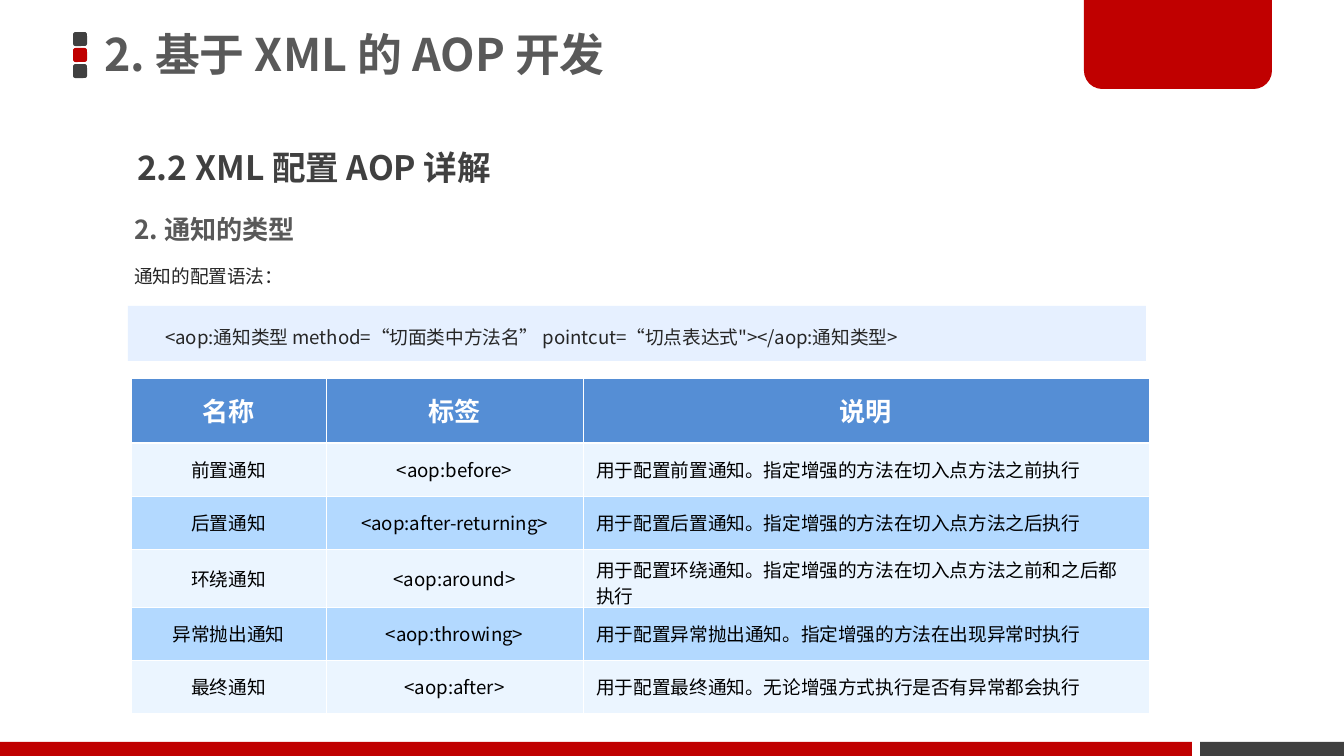
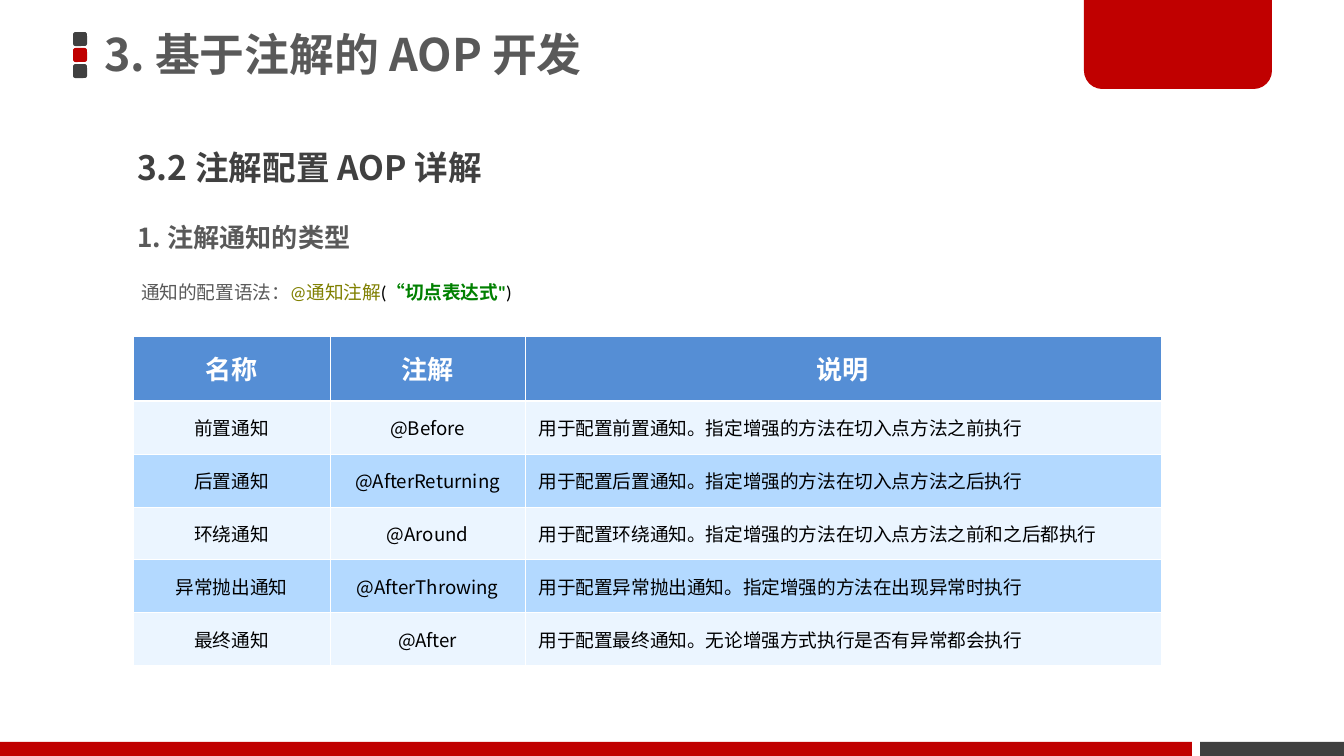
from dataclasses import dataclass

from lxml import etree
from pptx import Presentation
from pptx.dml.color import RGBColor
from pptx.enum.shapes import MSO_SHAPE
from pptx.enum.text import MSO_ANCHOR, MSO_AUTO_SIZE, PP_ALIGN
from pptx.oxml.ns import qn
from pptx.util import Emu, Pt

RECT = MSO_SHAPE.RECTANGLE
ROUND = MSO_SHAPE.ROUNDED_RECTANGLE
TAB = MSO_SHAPE.ROUND_2_SAME_RECTANGLE
LEFT, CENTER = PP_ALIGN.LEFT, PP_ALIGN.CENTER
TOP, MIDDLE = MSO_ANCHOR.TOP, MSO_ANCHOR.MIDDLE
NO_FIT = MSO_AUTO_SIZE.NONE

PX = 914400 / 134.4
SANS, CALIBRI = "Noto Sans CJK SC", "Calibri"
RED, DARK, GRAY, INK = "C00000", "404040", "595959", "262626"
BLACK, WHITE, OLIVE, GREEN = "000000", "FFFFFF", "808000", "008000"
CODE_BAND, HEADER_BLUE = "E6F0FF", "558ED5"
ROW_FILLS = ("EBF5FF", "B3D9FF")
THIN, THICK = 0.45, 1.47
TITLE_ONLY = 5


@dataclass(frozen=True)
class Box:
    x: int
    y: int
    w: int
    h: int


@dataclass(frozen=True)
class Run:
    text: str
    size: int
    color: str
    bold: bool = False
    font: str = SANS


@dataclass(frozen=True)
class Block:
    box: Box
    runs: tuple[Run, ...]


@dataclass(frozen=True)
class Grid:
    x: int
    y: int
    cols: tuple[int, ...]
    rows: tuple[int, ...]
    key: str
    tags: tuple[str, ...]


@dataclass(frozen=True)
class Page:
    title: str
    section: str
    blocks: tuple[Block, ...]
    grid: Grid
    band: Box | None = None


@dataclass(frozen=True)
class Decor:
    kind: int
    box: Box
    color: str
    adj: tuple[float, ...] = ()


TITLE_BOX = Box(93, -3, 792, 120)
SECTION_BOX = Box(124, 120, 516, 74)
DECOR = (
    *(Decor(ROUND, Box(73, 32 + 16 * i, 14, 14), color, (0.17,))
      for i, color in enumerate((DARK, RED, DARK))),
    Decor(RECT, Box(1200, 742, 144, 14), DARK),
    Decor(TAB, Box(1084, -3, 188, 92), RED, (0, 0.2)),
    Decor(RECT, Box(0, 742, 1192, 14), RED),
)
NOTICES = (
    ("前置通知", "用于配置前置通知。指定增强的方法在切入点方法之前执行"),
    ("后置通知", "用于配置后置通知。指定增强的方法在切入点方法之后执行"),
    ("环绕通知", "用于配置环绕通知。指定增强的方法在切入点方法之前和之后都执行"),
    ("异常抛出通知", "用于配置异常抛出通知。指定增强的方法在出现异常时执行"),
    ("最终通知", "用于配置最终通知。无论增强方式执行是否有异常都会执行"),
)
PAGES = (
    Page(
        "2. 基于 XML 的 AOP 开发",
        "2.2 XML 配置 AOP 详解",
        (
            Block(Box(121, 191, 1038, 60), (Run("2. 通知的类型", 14, GRAY, True),)),
            Block(Box(121, 247, 1038, 47), (Run("通知的配置语法：", 10, INK),)),
            Block(Box(152, 308, 970, 47), (
                Run('<aop:通知类型 method=“切面类中方法名” pointcut=“切点表达式"></aop:通知类型>', 10, INK),
            )),
        ),
        Grid(131, 378, (195, 257, 566), (65, 53, 53, 58, 53, 53), "标签",
             ("<aop:before>", "<aop:after-returning>", "<aop:around>",
              "<aop:throwing>", "<aop:after>")),
        Box(128, 306, 1018, 55),
    ),
    Page(
        "3. 基于注解的 AOP 开发",
        "3.2 注解配置 AOP 详解",
        (
            Block(Box(124, 199, 1038, 60), (Run("1. 注解通知的类型", 14, GRAY, True),)),
            Block(Box(128, 263, 1030, 47), (
                Run("通知的配置语法：", 10, GRAY),
                Run("@通知注解", 10, OLIVE, font=CALIBRI),
                Run("(", 10, BLACK, font=CALIBRI),
                Run('“切点表达式"', 10, GREEN, True, CALIBRI),
                Run(")", 10, BLACK, font=CALIBRI),
            )),
        ),
        Grid(133, 336, (197, 195, 636), (65, 53, 53, 53, 53, 53), "注解",
             ("@Before", "@AfterReturning", "@Around", "@AfterThrowing", "@After")),
    ),
)


def px(n: int) -> Emu:
    return Emu(round(n * PX))


def rgb(color: str) -> RGBColor:
    return RGBColor.from_string(color)


def place(box: Box) -> tuple[Emu, ...]:
    return px(box.x), px(box.y), px(box.w), px(box.h)


def add_run(p, run: Run) -> None:
    r = p.add_run()
    r.text = run.text
    r.font.size = Pt(run.size)
    r.font.bold = run.bold
    r.font.name = run.font
    r.font.color.rgb = rgb(run.color)
    ea = etree.Element(qn("a:ea"), typeface=SANS)
    r.font._element.find(qn("a:latin")).addnext(ea)


def add_decor(slide, decor: Decor) -> None:
    sp = slide.shapes.add_shape(decor.kind, *place(decor.box))
    sp.shadow.inherit = False
    sp.fill.solid()
    sp.fill.fore_color.rgb = rgb(decor.color)
    sp.line.fill.background()
    for i, value in enumerate(decor.adj):
        sp.adjustments[i] = value


def add_title(slide, text: str) -> None:
    sp = slide.shapes.title
    sp.left, sp.top, sp.width, sp.height = place(TITLE_BOX)
    tf = sp.text_frame
    tf.word_wrap = True
    tf.auto_size = NO_FIT
    tf.vertical_anchor = MIDDLE
    tf.margin_left = tf.margin_right = px(11)
    tf.margin_top = tf.margin_bottom = px(5)
    p = tf.paragraphs[0]
    p.alignment = LEFT
    p.line_spacing = 0.9
    add_run(p, Run(text, 24, GRAY, True))


def add_block(slide, block: Block) -> None:
    tf = slide.shapes.add_textbox(*place(block.box)).text_frame
    tf.word_wrap = True
    p = tf.paragraphs[0]
    p.line_spacing = 1.5
    for run in block.runs:
        add_run(p, run)


def add_border(cell, side: str, width: float) -> None:
    tc_pr = cell._tc.get_or_add_tcPr()
    ln = etree.SubElement(tc_pr, qn(f"a:ln{side}"), w=str(Pt(width)))
    fill = etree.SubElement(ln, qn("a:solidFill"))
    etree.SubElement(fill, qn("a:srgbClr"), val=WHITE)


def fill_cell(cell, row: int, col: int, text: str) -> None:
    header = row == 0
    widths = {"L": THIN, "R": THIN,
              "T": THICK if row == 1 else THIN,
              "B": THICK if header else THIN}
    for side, width in widths.items():
        add_border(cell, side, width)
    cell.fill.solid()
    cell.fill.fore_color.rgb = rgb(HEADER_BLUE if header else ROW_FILLS[(row - 1) % 2])
    cell.vertical_anchor = TOP if header else MIDDLE
    p = cell.text_frame.paragraphs[0]
    p.alignment = CENTER if header or col < 2 else LEFT
    if header:
        p.line_spacing = Pt(24)
    add_run(p, Run(text, 14, WHITE, True) if header else Run(text, 10, BLACK))


def add_grid(slide, grid: Grid) -> None:
    box = Box(grid.x, grid.y, sum(grid.cols), sum(grid.rows))
    table = slide.shapes.add_table(len(grid.rows), len(grid.cols), *place(box)).table
    for column, width in zip(table.columns, grid.cols):
        column.width = px(width)
    for row, height in zip(table.rows, grid.rows):
        row.height = px(height)
    lines = [("名称", grid.key, "说明")]
    lines += [(name, tag, note) for (name, note), tag in zip(NOTICES, grid.tags)]
    for i, line in enumerate(lines):
        for j, text in enumerate(line):
            fill_cell(table.cell(i, j), i, j, text)


def add_page(prs, page: Page) -> None:
    slide = prs.slides.add_slide(prs.slide_layouts[TITLE_ONLY])
    for decor in DECOR:
        add_decor(slide, decor)
    add_title(slide, page.title)
    add_block(slide, Block(SECTION_BOX, (Run(page.section, 18, DARK, True),)))
    if page.band:
        add_decor(slide, Decor(RECT, page.band, CODE_BAND))
    for block in page.blocks:
        add_block(slide, block)
    add_grid(slide, page.grid)


def main() -> None:
    prs = Presentation()
    prs.slide_width, prs.slide_height = px(1344), px(756)
    for page in PAGES:
        add_page(prs, page)
    prs.save("out.pptx")


if __name__ == "__main__":
    main()
